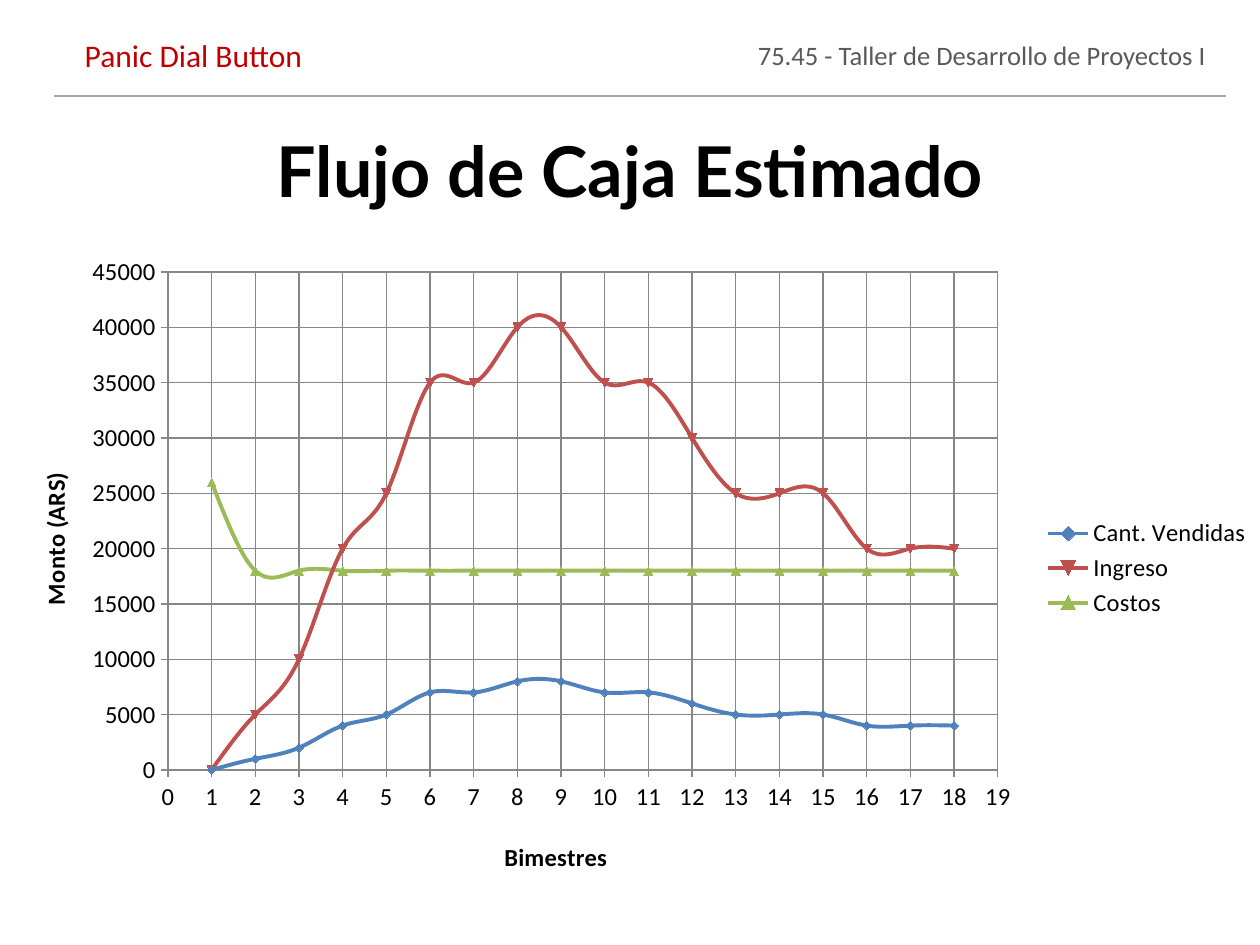
import dataclasses

import pptx
import pptx.chart.data
import pptx.dml.color
import pptx.enum.chart
import pptx.enum.shapes
import pptx.enum.text
import pptx.oxml
import pptx.oxml.ns
import pptx.util

PX = 914400 / 126
XL = pptx.enum.chart


@dataclasses.dataclass(frozen=True)
class Theme:
    body_font: str = "Calibri"
    title_font: str = "Lato"
    text: str = "000000"
    brand: str = "C00000"
    course: str = "595959"
    rule: str = "A6A6A6"
    grid: str = "878787"
    series: tuple = ("4F81BD", "C0504D", "9BBB59")
    title_size: float = 40
    brand_size: float = 18
    course_size: float = 15.2
    chart_size: float = 14


THEME = Theme()
CHART_BOX = (0, 244, 1260, 646)
SALES = [0, 1000, 2000, 4000, 5000, 7000, 7000, 8000, 8000,
         7000, 7000, 6000, 5000, 5000, 5000, 4000, 4000, 4000]
SERIES = {
    "Cant. Vendidas": SALES,
    "Ingreso": [units * 5 for units in SALES],
    "Costos": [26000] + [18000] * 17,
}


def emu(px):
    return pptx.util.Emu(round(px * PX))


def rgb(value):
    return pptx.dml.color.RGBColor.from_string(value)


def style_font(font, size, color, name=THEME.body_font, bold=False):
    font.name = name
    font.size = pptx.util.Pt(size)
    font.bold = bold
    font.color.rgb = rgb(color)


def set_text(sp, box, text, anchor, size, color, **font):
    sp.left, sp.top, sp.width, sp.height = map(emu, box)
    tf = sp.text_frame
    tf.word_wrap = True
    tf.auto_size = pptx.enum.text.MSO_AUTO_SIZE.NONE
    tf.vertical_anchor = anchor
    p = tf.paragraphs[0]
    p.text = text
    p.alignment = pptx.enum.text.PP_ALIGN.CENTER
    style_font(p.font, size, color, **font)


def add_rule(s, x1, x2, y):
    line = s.shapes.add_connector(
        pptx.enum.shapes.MSO_CONNECTOR.STRAIGHT, emu(x1), emu(y), emu(x2), emu(y))
    line.line.color.rgb = rgb(THEME.rule)
    line.line.width = pptx.util.Pt(0.75)
    line._element.spPr.append(pptx.oxml.parse_xml(
        f'<a:effectLst {pptx.oxml.ns.nsdecls("a")}/>'))


def place(element, left, top, width=None, height=None, inner=False):
    chart_left, chart_top, chart_width, chart_height = CHART_BOX
    parts = ['<c:layoutTarget val="inner"/>'] if inner else []
    parts += ['<c:xMode val="edge"/>', '<c:yMode val="edge"/>']
    values = (("x", left - chart_left, chart_width), ("y", top - chart_top, chart_height),
              ("w", width, chart_width), ("h", height, chart_height))
    parts += [f'<c:{tag} val="{value / total:.4f}"/>'
              for tag, value, total in values if value is not None]
    for old in element.xpath("c:layout"):
        element.remove(old)
    before = element.xpath("c:tx | c:legendPos")
    element.insert(len(before), pptx.oxml.parse_xml(
        f'<c:layout {pptx.oxml.ns.nsdecls("c")}><c:manualLayout>'
        f'{"".join(parts)}</c:manualLayout></c:layout>'))


def style_axis(axis, title, maximum, step, left, top):
    axis.minimum_scale = 0
    axis.maximum_scale = maximum
    axis.major_unit = step
    axis.major_tick_mark = XL.XL_TICK_MARK.OUTSIDE
    axis.minor_tick_mark = XL.XL_TICK_MARK.NONE
    axis.has_major_gridlines = True
    for line in (axis.format.line, axis.major_gridlines.format.line):
        line.color.rgb = rgb(THEME.grid)
        line.width = pptx.util.Pt(0.75)
    style_font(axis.tick_labels.font, THEME.chart_size, THEME.text)
    p = axis.axis_title.text_frame.paragraphs[0]
    p.text = title
    style_font(p.font, THEME.chart_size, THEME.text, bold=True)
    place(axis.axis_title._element, left, top)


def add_cash_flow_chart(s):
    data = pptx.chart.data.XyChartData(number_format="General")
    for name, values in SERIES.items():
        series = data.add_series(name)
        for period, amount in enumerate(values, 1):
            series.add_data_point(period, amount)
    chart = s.shapes.add_chart(
        XL.XL_CHART_TYPE.XY_SCATTER_SMOOTH, *map(emu, CHART_BOX), data).chart
    chart.has_title = False
    style_font(chart.font, THEME.chart_size, THEME.text)
    chart.plots[0].vary_by_categories = False
    for series, color in zip(chart.plots[0].series, THEME.series):
        series.format.line.color.rgb = rgb(color)
        series.format.line.width = pptx.util.Pt(2.25)
        series._element.get_or_add_smooth().val = True
    style_axis(chart.category_axis, "Bimestres", 19, 1, 500, 836)
    style_axis(chart.value_axis, "Monto (ARS)", 45000, 5000, 34, 468)
    chart.has_legend = True
    chart.legend.position = XL.XL_LEGEND_POSITION.RIGHT
    chart.legend.include_in_layout = False
    style_font(chart.legend.font, THEME.chart_size, THEME.text)
    place(chart.legend._element, 1038, 514, 218, 108)
    plot_area = chart._chartSpace.chart.plotArea
    place(plot_area, 168, 272, 830, 498, inner=True)
    plot_area.append(pptx.oxml.parse_xml(
        f'<c:spPr {pptx.oxml.ns.nsdecls("c", "a")}><a:solidFill><a:srgbClr val="FFFFFF">'
        '<a:alpha val="40000"/></a:srgbClr></a:solidFill></c:spPr>'))


def main():
    prs = pptx.Presentation()
    prs.slide_width, prs.slide_height = emu(1260), emu(945)
    s = prs.slides.add_slide(prs.slide_layouts[0])
    anchors = pptx.enum.text.MSO_ANCHOR
    set_text(s.placeholders[1], (709, 33, 546, 53),
             "75.45 - Taller de Desarrollo de Proyectos I",
             anchors.TOP, THEME.course_size, THEME.course)
    set_text(s.shapes.title, (140, 115, 980, 110), "Flujo de Caja Estimado",
             anchors.MIDDLE, THEME.title_size, THEME.text,
             name=THEME.title_font, bold=True)
    add_rule(s, 54, 1226, 96)
    add_cash_flow_chart(s)
    set_text(s.shapes.add_textbox(0, 0, 0, 0), (5, 35, 377, 40), "Panic Dial Button",
             anchors.MIDDLE, THEME.brand_size, THEME.brand)
    prs.save("out.pptx")


if __name__ == "__main__":
    main()
